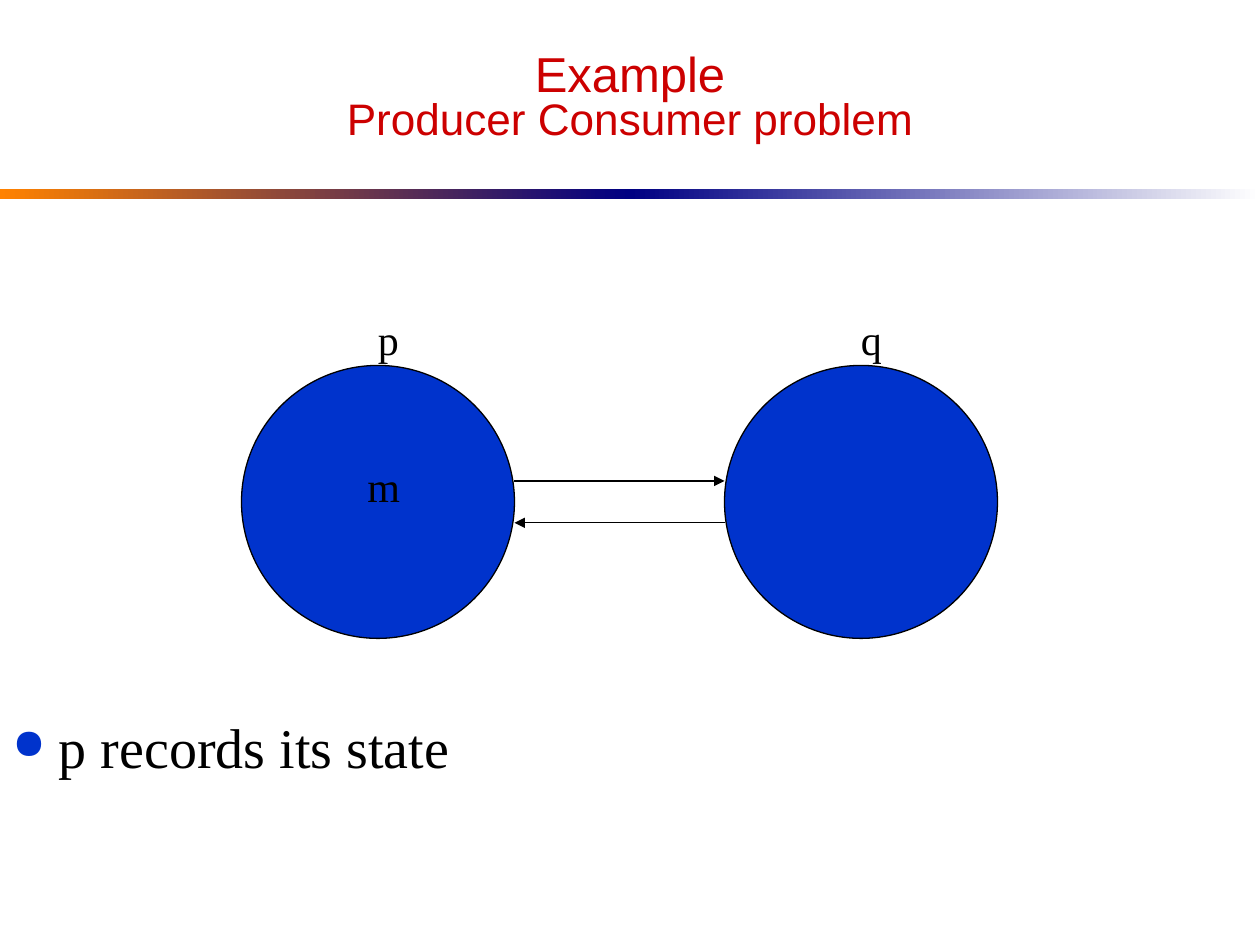
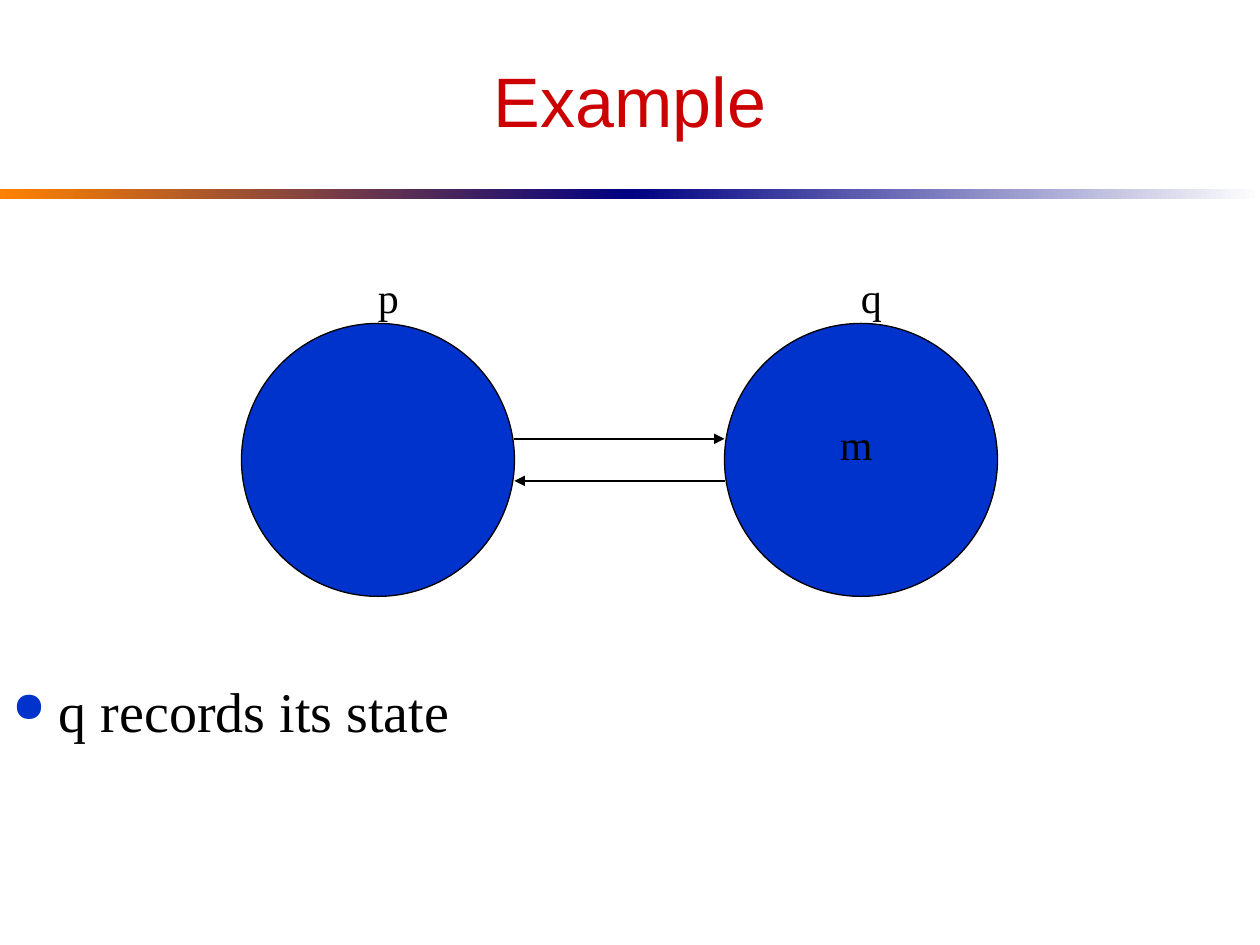
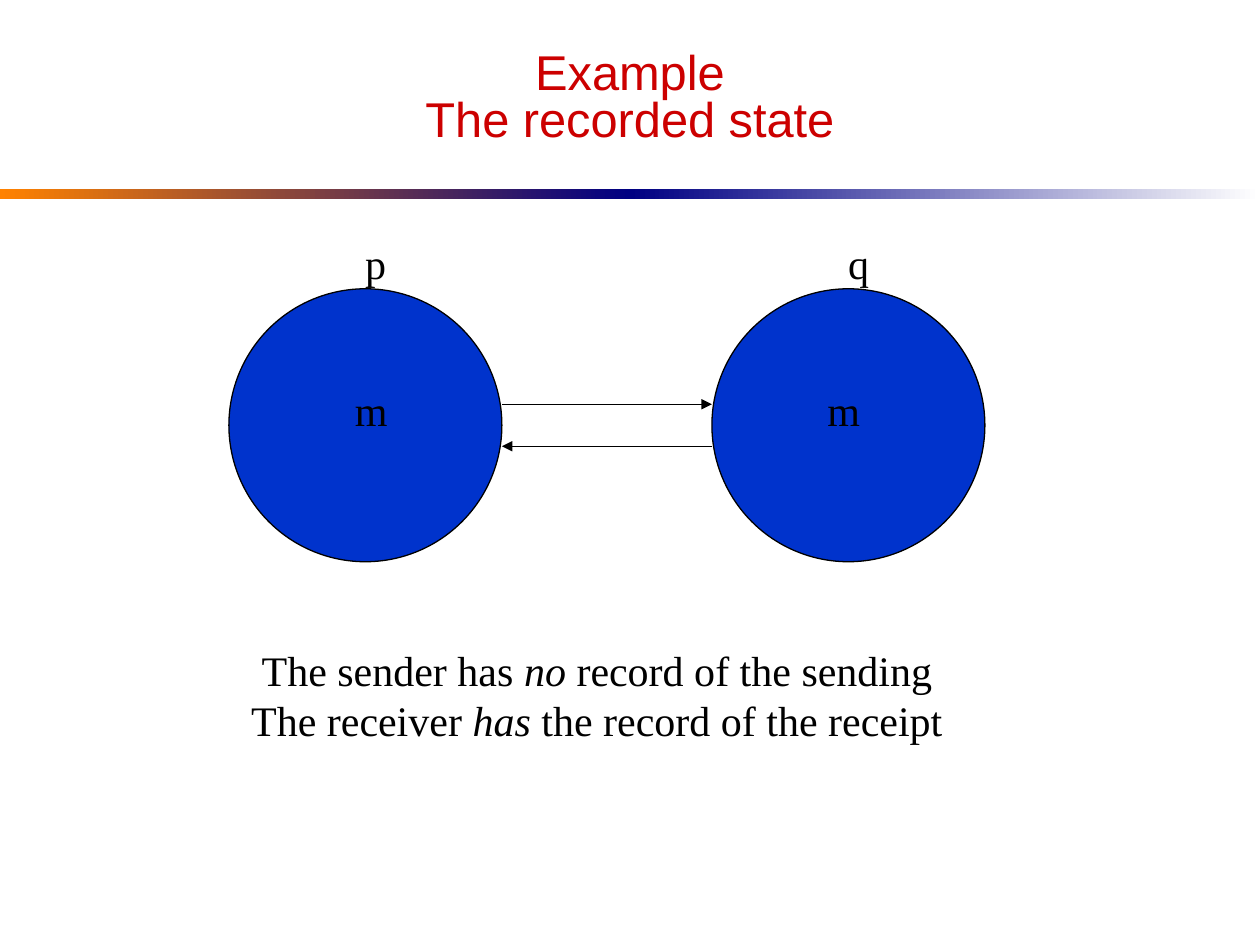
from lxml import etree
from pptx import Presentation
from pptx.dml.color import RGBColor
from pptx.enum.shapes import MSO_CONNECTOR, MSO_SHAPE
from pptx.enum.text import MSO_ANCHOR, PP_ALIGN
from pptx.oxml.ns import qn
from pptx.util import Inches, Pt

CENTER, LEFT = PP_ALIGN.CENTER, PP_ALIGN.LEFT
TOP, MIDDLE = MSO_ANCHOR.TOP, MSO_ANCHOR.MIDDLE
OVAL, RECTANGLE = MSO_SHAPE.OVAL, MSO_SHAPE.RECTANGLE
STRAIGHT = MSO_CONNECTOR.STRAIGHT

COLORS = {
    "title": "CC0000",
    "text": "000000",
    "process": "0033CC",
    "orange": "FF8200",
    "navy": "000082",
    "white": "FFFFFF",
}
TITLE_FONT, BODY_FONT = "Arial", "Times New Roman"

# The slide is a grid of 120 columns by 90 rows, 12 to the inch
COLUMNS, ROWS, CELLS_PER_INCH = 120, 90, 12
PROCESS_SIZE, PROCESS_PITCH = 26, 46
SEND_ROW, REPLY_ROW = 11, 15          # below the top of the circles
MESSAGE_OFFSETS = {"p": 10.8, "q": 9.8}


def cells(*counts):
    return [Inches(count / CELLS_PER_INCH) for count in counts]


def color(name):
    return RGBColor.from_string(COLORS[name])


def add_text(slide, paragraphs, box, size=24, font=BODY_FONT, ink="text",
             align=CENTER, anchor=TOP, wrap=True, spacing=None, bullet=False):
    """Each paragraph lists runs as (text, format); "\\n" breaks the line."""
    frame = slide.shapes.add_textbox(*cells(*box)).text_frame
    frame.word_wrap = wrap
    frame.vertical_anchor = anchor
    for index, runs in enumerate(paragraphs):
        paragraph = frame.add_paragraph() if index else frame.paragraphs[0]
        if bullet:
            set_bullet(paragraph)
        paragraph.alignment = align
        if spacing:
            paragraph.line_spacing = spacing
        for text, style in runs:
            if text == "\n":
                paragraph.add_line_break()
                continue
            run = paragraph.add_run()
            run.text = text
            run.font.name = font
            run.font.size = Pt(style.get("size", size))
            run.font.italic = style.get("italic", False)
            run.font.color.rgb = color(ink)


def set_bullet(paragraph):
    properties = paragraph._p.get_or_add_pPr()
    indent = Inches(0.37)
    properties.set("marL", str(indent))
    properties.set("indent", str(-indent))
    bullet_color = etree.SubElement(properties, qn("a:buClr"))
    etree.SubElement(bullet_color, qn("a:srgbClr"), val=COLORS["process"])
    etree.SubElement(properties, qn("a:buSzPct"), val="75000")
    etree.SubElement(properties, qn("a:buChar"), char="●")


def add_band(slide, left, start, end):
    band = slide.shapes.add_shape(RECTANGLE, *cells(left, 18, COLUMNS / 2, 1))
    band.shadow.inherit = False
    band.line.fill.background()
    band.fill.gradient()
    band.fill.gradient_angle = 0
    for stop, name in zip(band.fill.gradient_stops, (start, end)):
        stop.color.rgb = color(name)


def add_titled_slide(deck, title, size, spacing=None):
    slide = deck.slides.add_slide(deck.slide_layouts[6])
    add_band(slide, 0, "orange", "navy")
    add_band(slide, COLUMNS / 2, "navy", "white")
    add_text(slide, [title], (6, 3, 108, 13), size=size, font=TITLE_FONT,
             ink="title", anchor=MIDDLE, spacing=spacing)
    return slide


def add_process(slide, left, top):
    circle = slide.shapes.add_shape(
        OVAL, *cells(left, top, PROCESS_SIZE, PROCESS_SIZE))
    circle.shadow.inherit = False
    circle.fill.solid()
    circle.fill.fore_color.rgb = color("process")
    circle.line.color.rgb = color("text")
    circle.line.width = Pt(0.75)


def add_channel(slide, start, end, row):
    arrow = slide.shapes.add_connector(STRAIGHT, *cells(start, row, end, row))
    arrow.line.color.rgb = color("text")
    arrow.line.width = Pt(0.75)
    etree.SubElement(arrow.line._get_or_add_ln(), qn("a:tailEnd"),
                     type="triangle")
    etree.SubElement(arrow._element.spPr, qn("a:effectLst"))


def add_exchange(slide, left, top, holders):
    """Two processes, the channels between them, and m in each holder."""
    lefts = {"p": left, "q": left + PROCESS_PITCH}
    for process_left in lefts.values():
        add_process(slide, process_left, top)
    p_edge, q_edge = left + PROCESS_SIZE, lefts["q"]
    add_channel(slide, q_edge, p_edge, top + REPLY_ROW)
    add_channel(slide, p_edge, q_edge, top + SEND_ROW)
    for process, process_left in lefts.items():
        add_text(slide, [[(process, {})]],
                 (process_left + 11.8, top - 5.5, 4.3, 6), wrap=False)
        if process in holders:
            add_text(slide, [[("m", {})]],
                     (process_left + MESSAGE_OFFSETS[process], top + 8.5,
                      5.5, 6), wrap=False)


def add_step(slide, text, top):
    add_text(slide, [[(text, {})]], (0, top, COLUMNS, 11), size=32,
             align=LEFT, bullet=True)


def main():
    deck = Presentation()
    deck.slide_width, deck.slide_height = cells(COLUMNS, ROWS)

    # p records before sending
    before = add_titled_slide(
        deck, [("Example", {}), ("\n", {}),
               ("Producer Consumer problem", {"size": 25.2})], 28, 0.8)
    add_step(before, "p records its state", 67.3)
    add_exchange(before, 23, 34.8, "p")

    # q records after receiving
    after = add_titled_slide(deck, [("Example", {})], 40)
    add_step(after, "q records its state", 63.8)
    add_exchange(after, 23, 30.8, "q")

    # The two records side by side
    recorded = add_titled_slide(
        deck, [("Example", {}), ("\n", {}), ("The recorded state", {})],
        27.9, 0.8)
    add_exchange(recorded, 21.8, 27.5, "pq")
    italic = {"italic": True}
    add_text(recorded, [
        [("The sender has ", {}), ("no", italic),
         (" record of the sending", {})],
        [("The receiver ", {}), ("has", italic),
         (" the record of the receipt", {})],
    ], (9.5, 60.8, 94.7, 10.8))

    deck.save("out.pptx")


if __name__ == "__main__":
    main()
